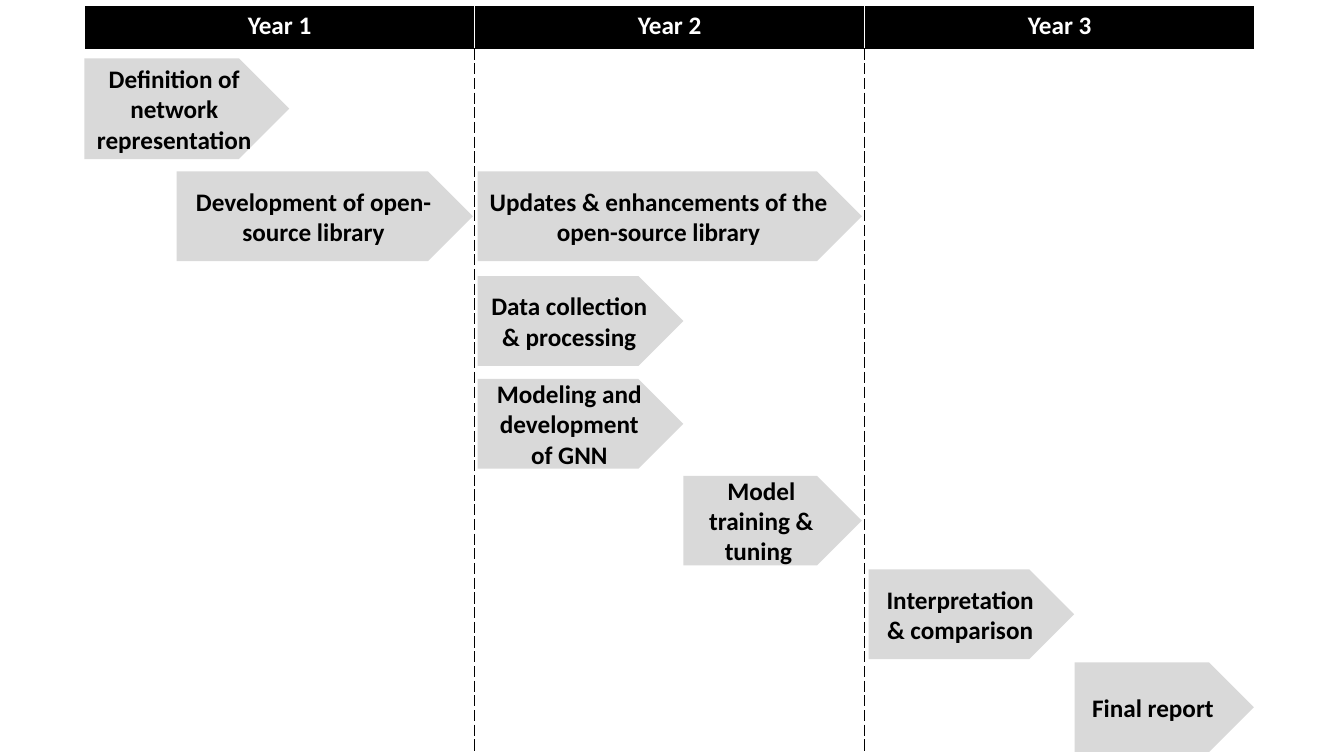
from lxml import etree
from pptx import Presentation
from pptx import util as u
from pptx.dml.color import RGBColor
from pptx.enum import shapes, text
from pptx.oxml import ns

BLACK = RGBColor(0x00, 0x00, 0x00)
WHITE = RGBColor(0xFF, 0xFF, 0xFF)
GREY = RGBColor(0xD9, 0xD9, 0xD9)
FONT = "Calibri"
TIMELINE_BOX = (2.13, 0.13, 29.49, 18.82)
HEADER_HEIGHT = 1.14
YEARS = ["Year 1", "Year 2", "Year 3"]
TASKS = [
    ("Definition of network representation", 0, 1.34, 5.16, 2.54),
    ("Development of open-source library", 2.32, 4.19, 7.47, 2.26),
    ("Data collection & processing", 9.91, 6.83, 5.18, 2.26),
    ("Modeling and development of GNN", 9.91, 9.42, 5.18, 2.26),
    ("Model training & tuning ", 15.09, 11.86, 4.5, 2.26),
    ("Interpretation & comparison", 19.76, 14.22, 5.18, 2.26),
    ("Updates & enhancements of the open-source library", 9.91, 4.19, 9.68, 2.26),
    ("Final report", 24.95, 16.56, 4.52, 2.26),
]


def write_label(frame, label, color):
    frame.text = label
    paragraph = frame.paragraphs[0]
    paragraph.alignment = text.PP_ALIGN.CENTER
    font = paragraph.font
    font.name, font.size, font.bold = FONT, u.Pt(18), True
    font.color.rgb = color


def add_border(cell, side, color, points=1, dash="solid"):
    properties = cell._tc.get_or_add_tcPr()
    line = etree.SubElement(properties, ns.qn(f"a:ln{side}"), w=str(u.Pt(points)))
    fill = etree.SubElement(line, ns.qn("a:solidFill"))
    etree.SubElement(fill, ns.qn("a:srgbClr"), val=str(color))
    etree.SubElement(line, ns.qn("a:prstDash"), val=dash)


def style_cell(cell, row, column):
    is_header = row == 0
    for side, is_edge in (("L", column == 0), ("R", column == len(YEARS) - 1)):
        if is_edge:
            add_border(cell, side, WHITE)
        elif not is_header:
            add_border(cell, side, BLACK, dash="sysDash")
    if row < 2:
        add_border(cell, "T", WHITE, 3 if row == 1 else 1)
    if row != 1:
        add_border(cell, "B", WHITE, 3 if is_header else 1)
    if is_header:
        cell.fill.solid()
        cell.fill.fore_color.rgb = BLACK
        write_label(cell.text_frame, YEARS[column], WHITE)
    else:
        cell.fill.background()


def add_year_grid(page, box):
    left, top, width, height = box
    grid = page.shapes.add_table(3, len(YEARS), *map(u.Cm, box)).table
    grid.horz_banding = False
    body_height = (height - HEADER_HEIGHT) / 2
    for row, row_height in enumerate((HEADER_HEIGHT, body_height, body_height)):
        grid.rows[row].height = u.Cm(row_height)
        for column in range(len(YEARS)):
            style_cell(grid.cell(row, column), row, column)
    for column in grid.columns:
        column.width = u.Cm(width / len(YEARS))


def add_tasks(page, box):
    for label, across, down, width, height in TASKS:
        arrow = page.shapes.add_shape(
            shapes.MSO_SHAPE.PENTAGON,
            u.Cm(box[0] + across), u.Cm(box[1] + down), u.Cm(width), u.Cm(height),
        )
        arrow.shadow.inherit = False
        arrow.fill.solid()
        arrow.fill.fore_color.rgb = GREY
        arrow.line.fill.background()
        frame = arrow.text_frame
        frame.word_wrap = True
        frame.vertical_anchor = text.MSO_ANCHOR.MIDDLE
        write_label(frame, label, BLACK)


def main():
    deck = Presentation()
    deck.slide_width, deck.slide_height = u.Cm(33.87), u.Cm(19.05)
    page = deck.slides.add_slide(deck.slide_layouts[6])
    add_year_grid(page, TIMELINE_BOX)
    add_tasks(page, TIMELINE_BOX)
    deck.save("out.pptx")


if __name__ == "__main__":
    main()
